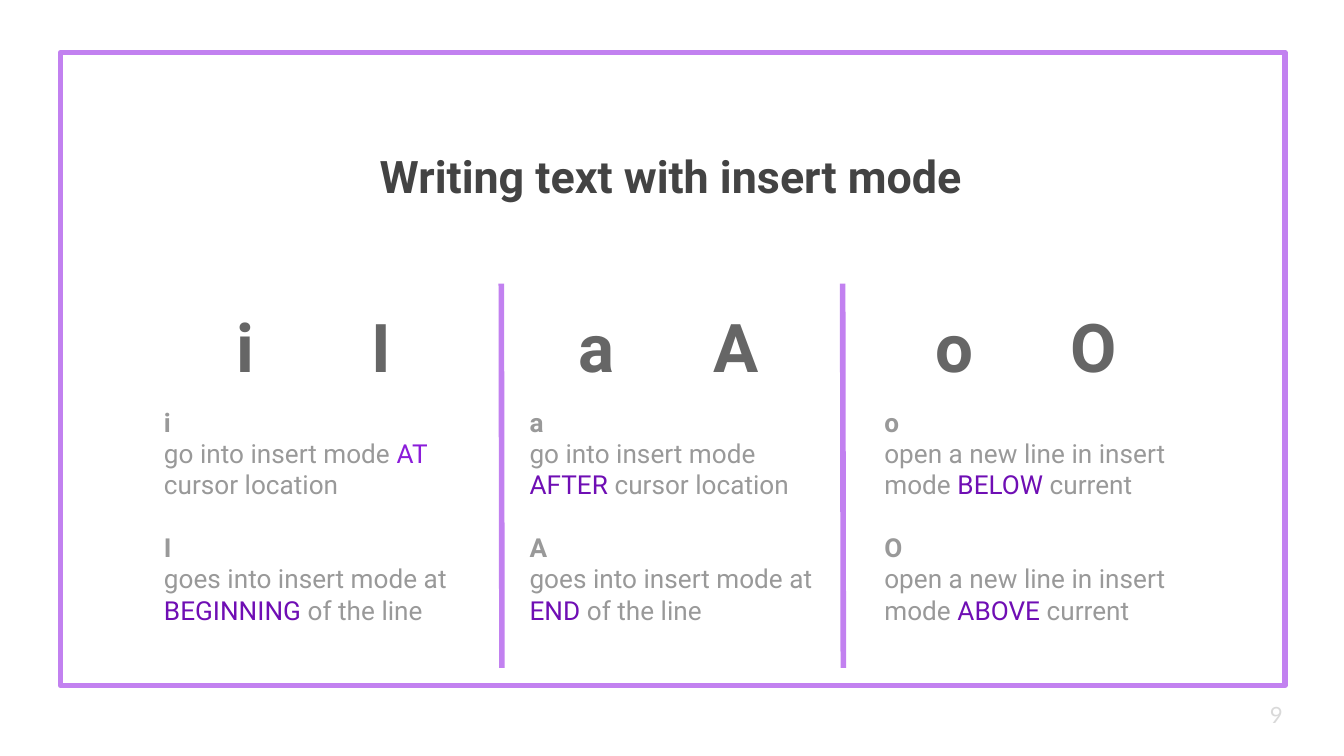
"""Build the slide that explains the insert mode keys in three columns."""
from lxml import etree
from pptx import Presentation
from pptx.dml.color import RGBColor
from pptx.enum.shapes import MSO_CONNECTOR, MSO_SHAPE
from pptx.enum.text import MSO_ANCHOR, MSO_AUTO_SIZE, PP_ALIGN
from pptx.oxml.ns import qn
from pptx.util import Pt

STRAIGHT = MSO_CONNECTOR.STRAIGHT
RECTANGLE = MSO_SHAPE.RECTANGLE
TOP, MIDDLE, BOTTOM = MSO_ANCHOR.TOP, MSO_ANCHOR.MIDDLE, MSO_ANCHOR.BOTTOM
NO_AUTOFIT = MSO_AUTO_SIZE.NONE
LEFT, CENTER = PP_ALIGN.LEFT, PP_ALIGN.CENTER

COLORS = {
    "frame": "C281F0",
    "title": "434343",
    "keys": "666666",
    "body": "999999",
    "at": "8B1CDA",
    "accent": "6F0EB4",
    "number": "D9D9D9",
}


def add_run(paragraph, text, size=14, color="body", bold=False, font="Roboto"):
    run = paragraph.add_run()
    run.text = text
    run.font.size = Pt(size)
    run.font.name = font
    run.font.bold = bold
    run.font.color.rgb = RGBColor.from_string(COLORS[color])


def place(holder, left, top, width, height, anchor=TOP):
    holder.left, holder.top = Pt(left), Pt(top)
    holder.width, holder.height = Pt(width), Pt(height)
    frame = holder.text_frame
    frame.word_wrap = True
    frame.auto_size = NO_AUTOFIT
    frame.vertical_anchor = anchor
    frame.margin_left = frame.margin_right = Pt(7.2)
    frame.margin_top = frame.margin_bottom = Pt(7.2)
    return frame


prs = Presentation()
prs.slide_width, prs.slide_height = Pt(720), Pt(405)
slide = prs.slides.add_slide(prs.slide_layouts[4])
shapes = slide.shapes
title, *bodies = slide.placeholders
spare = bodies.pop()
spare.element.getparent().remove(spare.element)

border = shapes.add_shape(RECTANGLE, Pt(32.4), Pt(28.08), Pt(655.92), Pt(339.12))
border.shadow.inherit = False
border.fill.background()
border.line.color.rgb = RGBColor.from_string(COLORS["frame"])
border.line.width = Pt(3)

for top_x, bottom_x in [(268.56, 268.92), (451.44, 451.8)]:
    divider = shapes.add_connector(
        STRAIGHT, Pt(top_x), Pt(151.92), Pt(bottom_x), Pt(357.84))
    divider.line.color.rgb = RGBColor.from_string(COLORS["frame"])
    divider.line.width = Pt(3)
    etree.SubElement(divider.element.spPr, qn("a:effectLst"))

heading = place(title, -0.72, 72.72, 720, 38.16).paragraphs[0]
heading.alignment = CENTER
add_run(heading, "Writing text with insert mode", size=24, color="title", bold=True)

columns = [
    (87.12, 80.64, 178.56, " ", [
        ("i", "go into insert mode ", "AT ", "at", "cursor location"),
        ("I", "goes into insert mode at ", "BEGINNING", "accent", " of the line"),
    ]),
    (277.2, 276.48, 166.32, " ", [
        ("a", "go into insert mode ", "AFTER", "accent", " cursor location"),
        ("A", "goes into insert mode at ", "END", "accent", " of the line"),
    ]),
    (466.56, 466.56, 166.32, "", [
        ("o", "open a new line in insert mode ", "BELOW", "accent", " current"),
        ("O", "open a new line in insert mode ", "ABOVE", "accent", " current"),
    ]),
]

for body, (keys_left, body_left, body_width, tail, commands) in zip(bodies, columns):
    keys_box = shapes.add_textbox(0, 0, 0, 0)
    keys = place(keys_box, keys_left, 162.72, 166.32, 51.12, BOTTOM).paragraphs[0]
    keys.alignment = CENTER
    tab_list = etree.SubElement(keys._p.get_or_add_pPr(), qn("a:tabLst"))
    etree.SubElement(tab_list, qn("a:tab"), pos=str(Pt(72)), algn="l")
    add_run(keys, "\t".join(command[0] for command in commands),
            size=36, color="keys", bold=True)
    if tail:
        add_run(keys, tail, size=18, color="keys", bold=True)

    frame = place(body, body_left, 210.24, body_width, 122.4)
    for index, (key, lead, stress, stress_color, ending) in enumerate(commands):
        label = frame.add_paragraph() if index else frame.paragraphs[0]
        description = frame.add_paragraph()
        for paragraph in (label, description):
            paragraph.alignment = LEFT
            paragraph.space_before = paragraph.space_after = Pt(0)
            properties = paragraph._p.get_or_add_pPr()
            properties.set("marL", "0")
            properties.set("indent", "0")
            etree.SubElement(properties, qn("a:buNone"))
        if index:
            label.space_before = Pt(16.8)
        add_run(label, key, bold=True)
        add_run(description, lead)
        add_run(description, stress, color=stress_color)
        add_run(description, ending)

number_box = shapes.add_textbox(0, 0, 0, 0)
number = place(number_box, 673.2, 367.2, 43.2, 30.96, MIDDLE).paragraphs[0]
add_run(number, "9", size=12, color="number", font="Lato")

prs.save("out.pptx")
